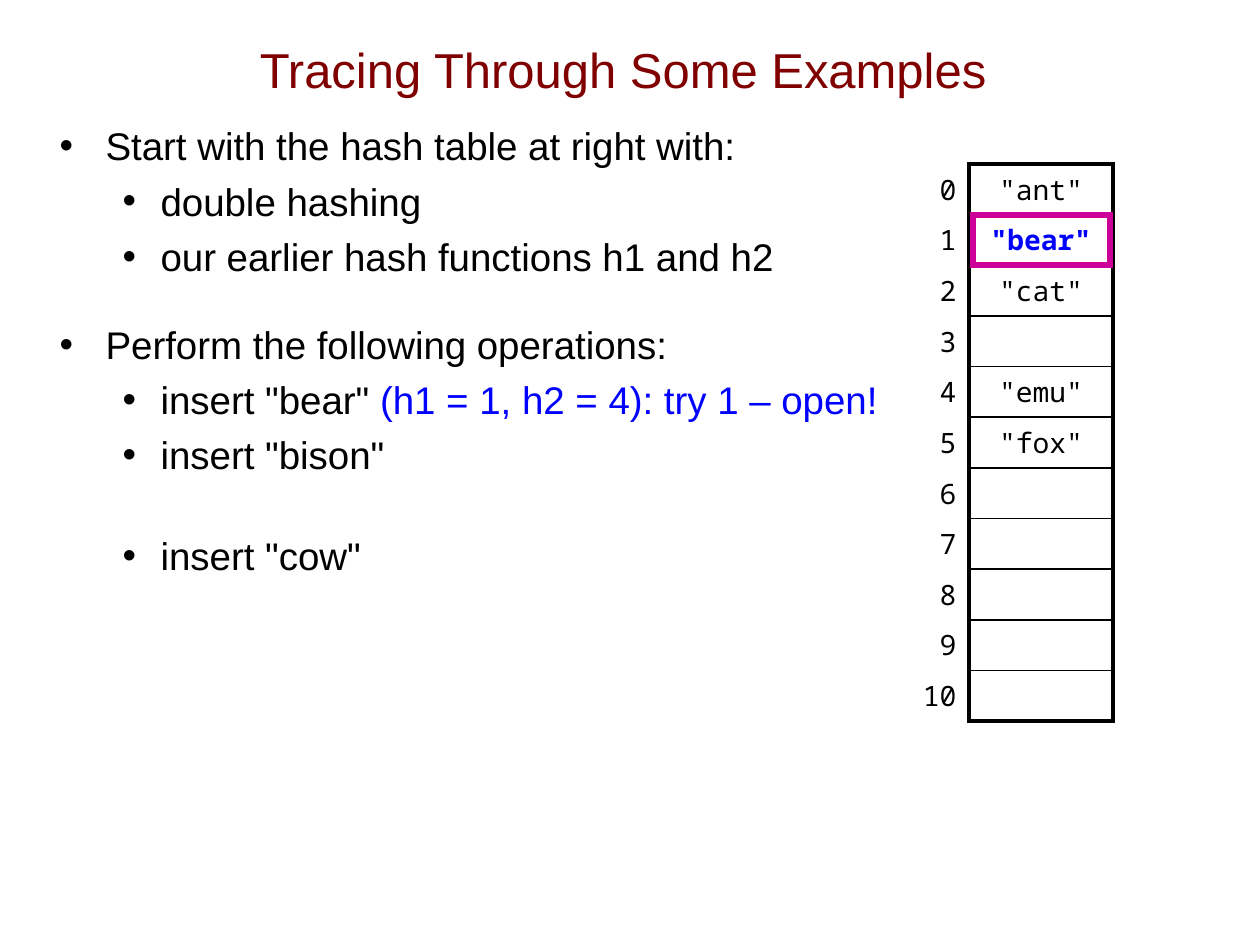
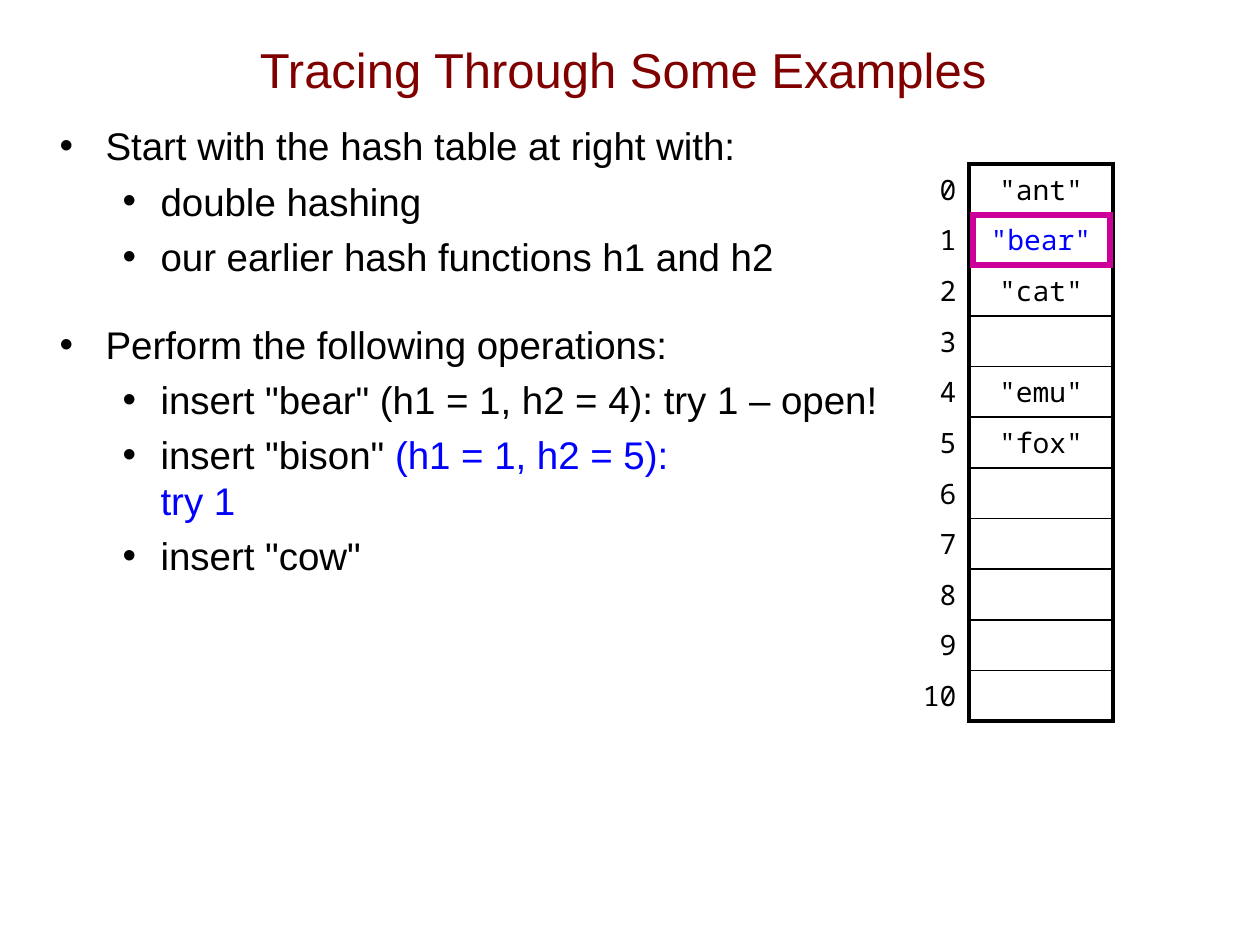
from lxml.etree import SubElement
from pptx import Presentation
from pptx.dml.color import RGBColor
from pptx.enum.shapes import MSO_SHAPE
from pptx.enum.text import MSO_ANCHOR, MSO_AUTO_SIZE, PP_ALIGN
from pptx.oxml.ns import qn
from pptx.util import Emu, Pt

PIXELS_PER_INCH = 126
BLACK = RGBColor(0x00, 0x00, 0x00)
WHITE = RGBColor(0xFF, 0xFF, 0xFF)
BLUE = RGBColor(0x00, 0x00, 0xFF)
MAROON = RGBColor(0x80, 0x00, 0x00)
MAGENTA = RGBColor(0xCC, 0x00, 0x99)
TEXT_FONT = "Arial"
CODE_FONT = "Noto Sans Mono"
BODY_SIZE = 22
CODE_SIZE = 16
THICK, THIN = 2.25, 1
NO_TABLE_STYLE = "{2D5ABB26-0587-4C30-8999-92F81FD0307C}"

TITLE = "Tracing Through Some Examples"
BUCKETS = ['"ant"', '"bear"', '"cat"', "", '"emu"', '"fox"', "", "", "", "", ""]
NEW_BUCKET = 1
ROW_HEIGHT = 46
INDENTS = [(46, -46), (101, -38)]  # left margin and first-line indent by level


def px(length):
    return Emu(round(length * 914400 / PIXELS_PER_INCH))


def place(shape, left, top, width, height):
    shape.left, shape.top = px(left), px(top)
    shape.width, shape.height = px(width), px(height)


def format_run(run, size, color, name=TEXT_FONT, bold=False):
    font = run.font
    font.name, font.size, font.bold = name, Pt(size), bold
    font.color.rgb = color


def set_end_size(paragraph, size):
    """Size line breaks and the paragraph end, so that empty lines keep their height."""
    for line_break in paragraph._p.findall(qn("a:br")):
        SubElement(line_break, qn("a:rPr"), sz=str(size * 100))
    SubElement(paragraph._p, qn("a:endParaRPr"), sz=str(size * 100))


def add_title(slide):
    title = slide.shapes.title
    place(title, 81, 10, 1084, 117)
    text_frame = title.text_frame
    text_frame.text = TITLE
    text_frame.vertical_anchor = MSO_ANCHOR.MIDDLE
    text_frame.auto_size = MSO_AUTO_SIZE.NONE
    paragraph = text_frame.paragraphs[0]
    paragraph.alignment = PP_ALIGN.CENTER
    format_run(paragraph.runs[0], 28, MAROON)


def set_bullet(paragraph, level):
    paragraph.level = level
    margin, indent = INDENTS[level]
    properties = paragraph._p.get_or_add_pPr()
    properties.set("marL", str(px(margin)))
    properties.set("indent", str(px(indent)))
    SubElement(properties, qn("a:buChar"), char="•")


def add_bullets(slide, bullets):
    """Fill the body with (level, space before, text, blue text) items."""
    body = slide.placeholders[1]
    place(body, 47, 116, 1213, 774)
    text_frame = body.text_frame
    text_frame.auto_size = MSO_AUTO_SIZE.NONE
    for number, (level, space, text, new_text) in enumerate(bullets):
        paragraph = text_frame.add_paragraph() if number else text_frame.paragraphs[0]
        paragraph.text = text
        black_runs = len(paragraph.runs)
        for line_number, line in enumerate(new_text.split("\v")):
            if line_number:
                paragraph.add_line_break()
            if line:
                paragraph.add_run().text = line
        for run_number, run in enumerate(paragraph.runs):
            format_run(run, BODY_SIZE, BLACK if run_number < black_runs else BLUE)
        paragraph.space_before = Pt(space)
        set_bullet(paragraph, level)
        set_end_size(paragraph, BODY_SIZE)


def set_borders(cell, **widths):
    """Draw black borders; the keywords L, R, T and B give widths in points."""
    properties = cell._tc.get_or_add_tcPr()
    for side, width in widths.items():
        line = SubElement(properties, qn(f"a:ln{side}"), w=str(Pt(width)))
        fill = SubElement(line, qn("a:solidFill"))
        SubElement(fill, qn("a:srgbClr"), val=str(BLACK))


def fill_cell(cell, text, alignment, color=BLACK, bold=False):
    cell.text = text
    paragraph = cell.text_frame.paragraphs[0]
    paragraph.alignment = alignment
    paragraph.space_before = Pt(14.2)
    for run in paragraph.runs:
        format_run(run, CODE_SIZE, color, CODE_FONT, bold)
    set_end_size(paragraph, CODE_SIZE)


def add_hash_table(slide, new_is_bold):
    last = len(BUCKETS) - 1
    frame = slide.shapes.add_table(len(BUCKETS), 2, px(824), px(164),
                                   px(289), px(ROW_HEIGHT * len(BUCKETS)))
    table = frame.table
    table.first_row = table.horz_banding = False
    table._tbl.tblPr.find(qn("a:tableStyleId")).text = NO_TABLE_STYLE
    table.columns[0].width, table.columns[1].width = px(145), px(144)
    for index, key in enumerate(BUCKETS):
        index_cell, key_cell = table.cell(index, 0), table.cell(index, 1)
        is_new = index == NEW_BUCKET
        fill_cell(index_cell, str(index), PP_ALIGN.RIGHT)
        fill_cell(key_cell, key, PP_ALIGN.CENTER, BLUE if is_new else BLACK,
                  is_new and new_is_bold)
        set_borders(index_cell, R=THICK)
        set_borders(key_cell, L=THICK, R=THICK, T=THIN if index else THICK,
                    B=THICK if index == last else THIN)
        index_cell.fill.background()
        if is_new:
            key_cell.fill.solid()
            key_cell.fill.fore_color.rgb = WHITE
        else:
            key_cell.fill.background()


def add_bucket_highlight(slide):
    """Frame the whole new bucket, whose row grows to fit its text."""
    highlight = slide.shapes.add_shape(MSO_SHAPE.RECTANGLE, px(973), px(215), px(137), px(50))
    highlight.shadow.inherit = False
    highlight.fill.background()
    highlight.line.color.rgb = MAGENTA
    highlight.line.width = Pt(3)
    SubElement(highlight.line._get_or_add_ln(), qn("a:miter"), lim="800000")


def add_trace_slide(presentation, bear, bison, new_is_bold):
    """Add a step; bear and bison are (black text, blue text) pairs."""
    slide = presentation.slides.add_slide(presentation.slide_layouts[1])
    add_title(slide)
    add_bullets(slide, [
        (0, 14.2, "Start with the hash table at right with:", ""),
        (1, 5.2, "double hashing", ""),
        (1, 5.2, "our earlier hash functions h1 and h2", ""),
        (0, 24, "Perform the following operations:", ""),
        (1, 5, *bear),
        (1, 5, *bison),
        (1, 5, 'insert "cow"', ""),
    ])
    add_hash_table(slide, new_is_bold)
    add_bucket_highlight(slide)


def main():
    presentation = Presentation()
    presentation.slide_width, presentation.slide_height = px(1260), px(945)
    bear, bear_trace = 'insert "bear" ', "(h1 = 1, h2 = 4): try 1 – open!"
    bison, bison_trace = 'insert "bison"', "(h1 = 1, h2 = 5):\vtry 1"
    add_trace_slide(presentation, (bear, bear_trace), (bison + "\v", ""), True)
    add_trace_slide(presentation, (bear + bear_trace, ""), (bison + " ", bison_trace), False)
    presentation.save("out.pptx")


if __name__ == "__main__":
    main()
